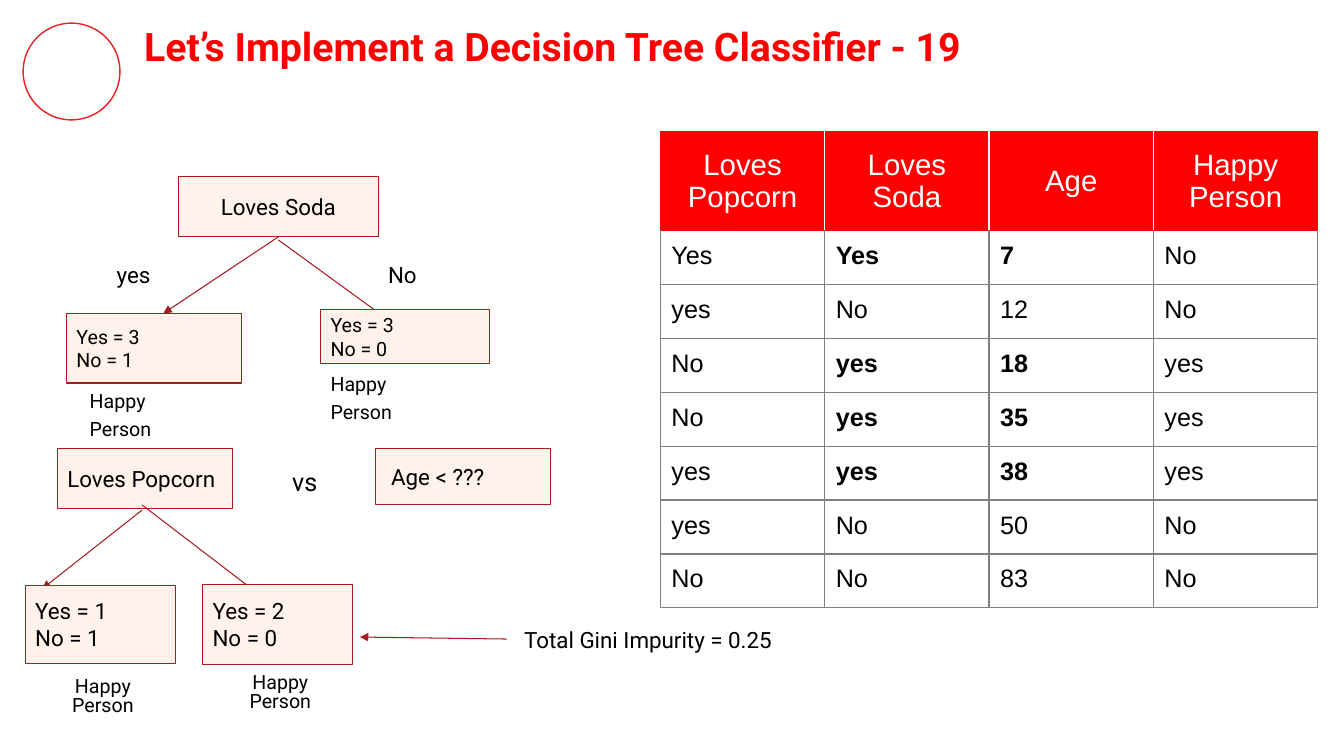
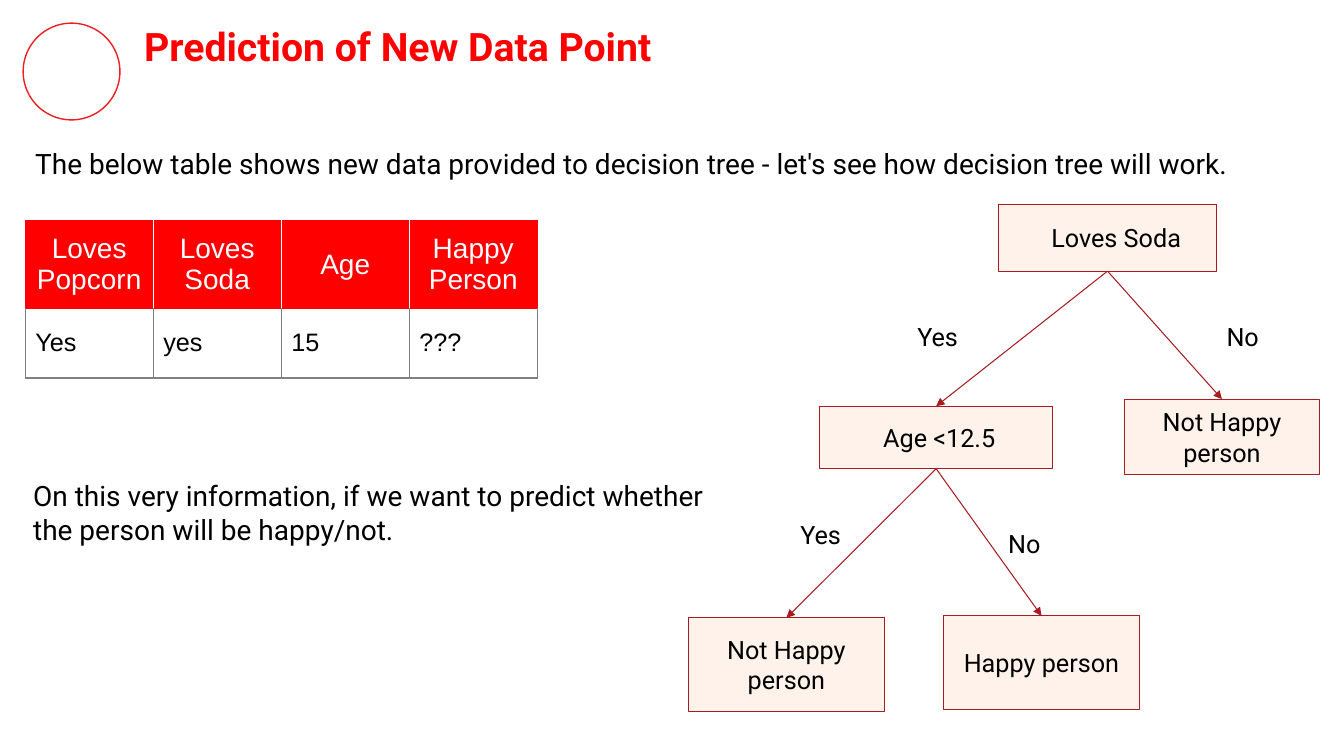
from lxml import etree
from pptx import Presentation
from pptx.dml.color import RGBColor
from pptx.enum.shapes import MSO_CONNECTOR as CONNECTOR, MSO_SHAPE as SHAPE
from pptx.enum.text import MSO_ANCHOR as ANCHOR, MSO_AUTO_SIZE as AUTO_SIZE, PP_ALIGN as ALIGN
from pptx.oxml import parse_xml
from pptx.oxml.ns import nsdecls, qn
from pptx.util import Emu, Pt

# Shared style
EMU_PER_PX = 9144  # 100 px to the inch
TITLE_RED, RING_RED, HEADER_RED = "FF0001", "ED1D24", "FF0000"
NODE_FILL, NODE_LINE = "FFF2EB", "A71C20"
WHITE, BLACK, GRID = "FFFFFF", "000000", "808080"
FONT, TABLE_FONT = "Roboto", "Arial"
INSET = 10
BOTTOM, TOP = 2, 0  # connection sites of a rectangle
TABLE_HEADS = ["Loves Popcorn", "Loves Soda", "Age", "Happy Person"]


def px(length):
    return Emu(length * EMU_PER_PX)


def rgb(value):
    return RGBColor.from_string(value)


def write(frame, text, size, color=BLACK, font=FONT, bold=False, align=ALIGN.LEFT,
          line_spacing=None, gap=0):
    """Fill a text frame, one paragraph per line; gap is in points."""
    frame.text = text
    for index, paragraph in enumerate(frame.paragraphs):
        paragraph.alignment = align
        if line_spacing:
            paragraph.line_spacing = line_spacing
        if index and gap:
            paragraph.space_before = Pt(gap)
        paragraph.font.size = Pt(size)
        paragraph.font.name = font
        paragraph.font.bold = bold
        paragraph.font.color.rgb = rgb(color)


def set_frame(frame, anchor, left_inset=INSET):
    frame.word_wrap = True
    frame.auto_size = AUTO_SIZE.NONE
    frame.vertical_anchor = anchor
    frame.margin_left = px(left_inset)
    frame.margin_top = frame.margin_right = frame.margin_bottom = px(INSET)


def add_titled_slide(deck, title_text):
    slide = deck.slides.add_slide(deck.slide_layouts[5])
    ring = slide.shapes.add_shape(SHAPE.OVAL, px(23), px(23), px(96), px(96))
    ring.shadow.inherit = False
    ring.fill.background()
    ring.line.color.rgb = rgb(RING_RED)
    ring.line.width = Pt(1)

    title = slide.shapes.title
    title.left, title.top, title.width, title.height = map(px, (133, 12, 1118, 67))
    set_frame(title.text_frame, ANCHOR.TOP)
    write(title.text_frame, title_text, 28, TITLE_RED, bold=True)
    return slide


def add_label(slide, box, text, size, anchor=ANCHOR.TOP, left_inset=INSET, **style):
    label = slide.shapes.add_textbox(*map(px, box))
    set_frame(label.text_frame, anchor, left_inset)
    write(label.text_frame, text, size, **style)


def add_node(slide, box, text, size, left_inset=INSET, **style):
    node = slide.shapes.add_shape(SHAPE.RECTANGLE, *map(px, box))
    node.shadow.inherit = False
    node.fill.solid()
    node.fill.fore_color.rgb = rgb(NODE_FILL)
    node.line.color.rgb = rgb(NODE_LINE)
    node.line.width = Pt(0.75)
    set_frame(node.text_frame, ANCHOR.MIDDLE, left_inset)
    write(node.text_frame, text, size, **style)
    return node


def add_arrow(slide, start=(0, 0), end=(0, 0)):
    arrow = slide.shapes.add_connector(CONNECTOR.STRAIGHT, *map(px, (*start, *end)))
    arrow.line.color.rgb = rgb(NODE_LINE)
    arrow.line.width = Pt(0.75)
    etree.SubElement(arrow.line._get_or_add_ln(), qn("a:tailEnd"), type="triangle")
    etree.SubElement(arrow._element.spPr, qn("a:effectLst"))
    return arrow


def add_branch(slide, parent, child):
    branch = add_arrow(slide)
    branch.begin_connect(parent, BOTTOM)
    branch.end_connect(child, TOP)


def set_borders(cell, left, right, top, bottom):
    """Put 1 pt borders ahead of the fill, as the schema orders them."""
    sides = zip(("lnL", "lnR", "lnT", "lnB"), (left, right, top, bottom))
    for index, (side, color) in enumerate(sides):
        cell._tc.get_or_add_tcPr().insert(index, parse_xml(
            f'<a:{side} {nsdecls("a")} w="12700"><a:solidFill>'
            f'<a:srgbClr val="{color}"/></a:solidFill></a:{side}>'))


def add_data_table(slide, box, head_height, rows, head_size, inset, body_anchor,
                   is_bold=lambda row, column: False):
    grid = [TABLE_HEADS, *rows]
    last = len(TABLE_HEADS) - 1
    table = slide.shapes.add_table(len(grid), len(TABLE_HEADS), *map(px, box)).table
    table.first_row = table.horz_banding = False
    for table_row in table.rows:
        table_row.height = Emu(px(box[3] - head_height) // len(rows))
    table.rows[0].height = px(head_height)

    for r, row in enumerate(grid):
        for c, text in enumerate(row):
            cell = table.cell(r, c)
            cell.margin_left = cell.margin_right = px(inset)
            cell.margin_top = cell.margin_bottom = px(inset)
            cell.fill.solid()
            if r == 0:
                cell.fill.fore_color.rgb = rgb(HEADER_RED)
                cell.vertical_anchor = ANCHOR.MIDDLE
                write(cell.text_frame, text, head_size, WHITE, TABLE_FONT, align=ALIGN.CENTER)
                set_borders(cell, HEADER_RED if c == 0 else WHITE,
                            HEADER_RED if c == last else WHITE, HEADER_RED, HEADER_RED)
            else:
                cell.fill.fore_color.rgb = rgb(WHITE)
                cell.vertical_anchor = body_anchor
                write(cell.text_frame, text, 18, font=TABLE_FONT, bold=is_bold(row, c))
                set_borders(cell, GRID, GRID, HEADER_RED if r == 1 else GRID, GRID)


def build_classifier_slide(deck):
    slide = add_titled_slide(deck, "Let’s Implement a Decision Tree Classifier - 19")

    # Root split on soda
    add_node(slide, (177, 175, 198, 60), "Loves Soda", 16, left_inset=42)
    add_arrow(slide, (276, 235), (162, 311))
    add_arrow(slide, (276, 238), (382, 315))
    add_node(slide, (66, 311, 174, 69), "Yes = 3\nNo = 1", 14)
    add_node(slide, (318, 307, 168, 54), "Yes = 3\nNo = 0", 14)
    for box, inset in (((74, 384, 157, 60), 15), ((318, 367, 157, 64), INSET)):
        add_label(slide, box, "Happy\nPerson", 14, left_inset=inset, line_spacing=0.6, gap=10)
    add_label(slide, (106, 254, 77, 38), "yes", 16, line_spacing=0.8)
    add_label(slide, (375, 254, 91, 46), "No", 16, line_spacing=0.8)

    # Candidates for the next split
    add_node(slide, (57, 445, 174, 60), "Loves Popcorn", 16)
    add_node(slide, (372, 445, 174, 56), "Age < ???", 16, left_inset=16)
    add_label(slide, (280, 453, 53, 55), "vs", 18)
    add_arrow(slide, (141, 506), (42, 584))
    add_arrow(slide, (141, 501), (256, 589))
    add_node(slide, (201, 580, 149, 79), "Yes = 2\nNo = 0", 16)
    add_node(slide, (25, 581, 149, 77), "Yes = 1\nNo = 1", 16)
    for left, top in ((42, 671), (218, 667)):
        add_label(slide, (left, top, 116, 38), "Happy\nPerson", 14, left_inset=14,
                  align=ALIGN.CENTER, line_spacing=0.4, gap=6.5)

    # Impurity remark
    add_arrow(slide, (503, 634), (357, 632))
    add_label(slide, (510, 595, 279, 79), "Total Gini Impurity = 0.25", 16, ANCHOR.MIDDLE)

    # Training data, with soda lovers and their ages in bold
    people = [
        ["Yes", "Yes", "7", "No"],
        ["yes", "No", "12", "No"],
        ["No", "yes", "18", "yes"],
        ["No", "yes", "35", "yes"],
        ["yes", "yes", "38", "yes"],
        ["yes", "No", "50", "No"],
        ["No", "No", "83", "No"],
    ]
    add_data_table(slide, (655, 131, 652, 472), 98, people, 21, 11, ANCHOR.TOP,
                   lambda row, column: column in (1, 2) and row[1].lower() == "yes")


def build_prediction_slide(deck):
    slide = add_titled_slide(deck, "Prediction of New Data Point")

    # New data point
    add_label(slide, (25, 135, 1284, 85),
              "The below table shows new data provided to decision tree - "
              "let's see how decision tree will work.", 20)
    add_data_table(slide, (25, 219, 508, 156), 87, [["Yes", "yes", "15", "???"]],
                   20, 10, ANCHOR.MIDDLE)
    add_label(slide, (23, 465, 722, 88),
              "On this very information, if we want to predict whether "
              "the person will be happy/not.", 20)

    # Decision tree
    nodes = [
        add_node(slide, box, text, 18, left_inset=inset, align=ALIGN.CENTER)
        for box, text, inset in (
            ((990, 203, 217, 66), "Loves Soda", 27),
            ((813, 403, 231, 62), "Age <12.5", 16),
            ((1115, 396, 194, 75), "Not Happy person", INSET),
            ((683, 613, 194, 93), "Not Happy person", INSET),
            ((936, 611, 194, 93), "Happy person", INSET),
        )
    ]
    soda, age, no_soda, young, older = nodes
    for parent, child in ((soda, age), (soda, no_soda), (age, young), (age, older)):
        add_branch(slide, parent, child)

    # Answers on the branches
    for box, answer, align in (
        ((873, 309, 114, 50), "Yes", ALIGN.CENTER),
        ((1203, 309, 59, 50), "No", ALIGN.CENTER),
        ((761, 505, 83, 50), "Yes", ALIGN.RIGHT),
        ((990, 514, 83, 50), "No", ALIGN.LEFT),
    ):
        add_label(slide, box, answer, 18, align=align)


def main():
    deck = Presentation()
    deck.slide_width, deck.slide_height = px(1333), px(750)
    build_classifier_slide(deck)
    build_prediction_slide(deck)
    deck.save("out.pptx")


if __name__ == "__main__":
    main()
